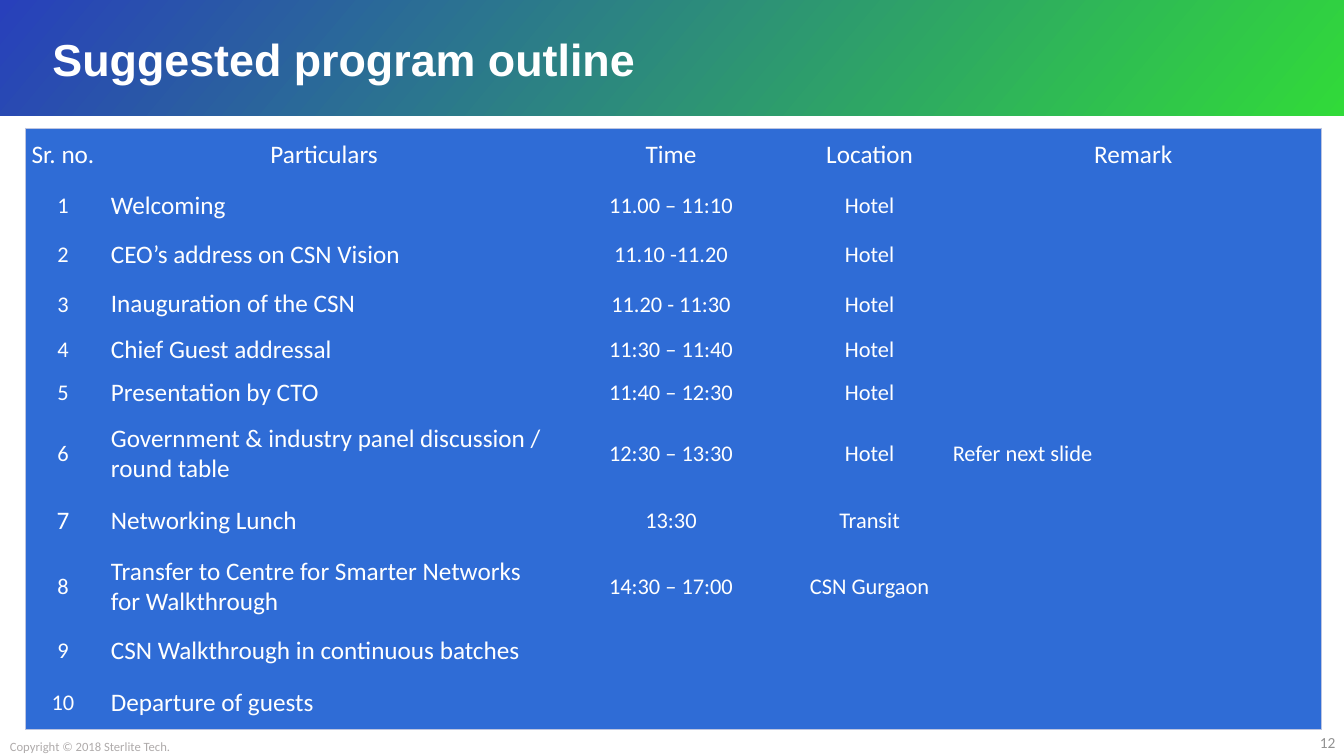
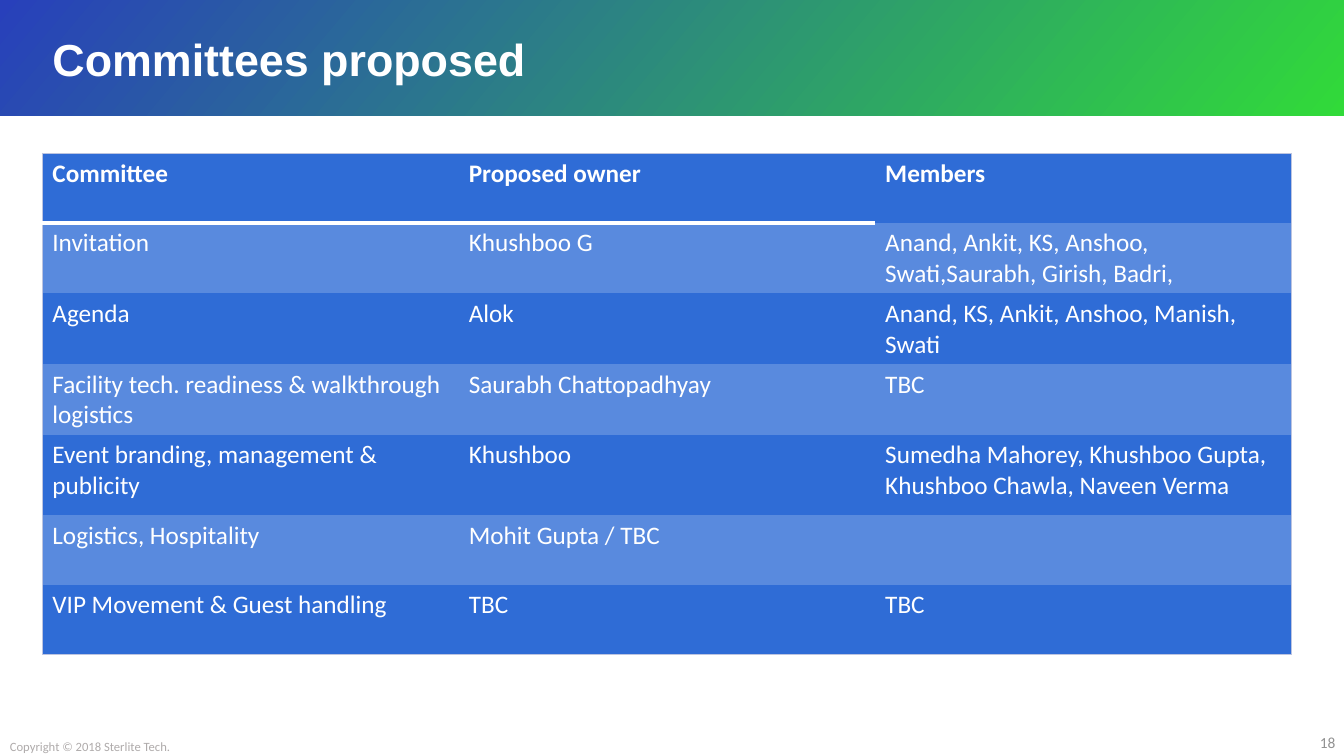
from lxml import etree
from pptx import Presentation
from pptx.dml.color import RGBColor
from pptx.enum.shapes import MSO_SHAPE
from pptx.enum.text import MSO_ANCHOR, MSO_AUTO_SIZE, PP_ALIGN
from pptx.oxml.ns import qn
from pptx.util import Inches, Pt

LEFT, CENTER = PP_ALIGN.LEFT, PP_ALIGN.CENTER
TOP, MIDDLE, BOTTOM = MSO_ANCHOR.TOP, MSO_ANCHOR.MIDDLE, MSO_ANCHOR.BOTTOM
RECTANGLE = MSO_SHAPE.RECTANGLE
NO_AUTOFIT = MSO_AUTO_SIZE.NONE
NO_GRID_STYLE = "{2D5ABB26-0587-4C30-8999-92F81FD0307C}"
TITLE_ONLY = 5

COLORS = {
    "band_start": "2840BB", "band_end": "31DA39", "white": "FFFFFF",
    "row": "2F6CD6", "row_alt": "598ADE", "frame": "BCC4E0",
    "number": "929292", "copyright": "AFABAB",
}

AGENDA = [
    ["Sr. no.", "Particulars", "Time", "Location", "Remark"],
    ["1", "Welcoming", "11.00 – 11:10", "Hotel", ""],
    ["2", "CEO’s address on CSN Vision", "11.10 -11.20", "Hotel", ""],
    ["3", "Inauguration of the CSN", "11.20 - 11:30", "Hotel", ""],
    ["4", "Chief Guest addressal", "11:30 – 11:40", "Hotel", ""],
    ["5", "Presentation by CTO", "11:40 – 12:30", "Hotel", ""],
    ["6", "Government & industry panel discussion / round table",
     "12:30 – 13:30", "Hotel", "Refer next slide"],
    ["7", "Networking Lunch", "13:30", "Transit", ""],
    ["8", "Transfer to Centre for Smarter Networks for Walkthrough",
     "14:30 – 17:00", "CSN Gurgaon", ""],
    ["9", "CSN Walkthrough in continuous batches", "", "", ""],
    ["10", "Departure of guests", "", "", ""],
]
COMMITTEES = [
    ["Committee", "Proposed owner", "Members"],
    ["Invitation", "Khushboo G", "Anand, Ankit, KS, Anshoo, Swati,Saurabh, Girish, Badri,"],
    ["Agenda", "Alok", "Anand, KS, Ankit, Anshoo, Manish, Swati"],
    ["Facility tech. readiness & walkthrough logistics", "Saurabh Chattopadhyay", "TBC"],
    ["Event branding, management & publicity", "Khushboo",
     "Sumedha Mahorey, Khushboo Gupta, Khushboo Chawla, Naveen Verma"],
    ["Logistics, Hospitality", "Mohit Gupta / TBC", ""],
    ["VIP Movement & Guest handling", "TBC", "TBC"],
]

prs = Presentation()
prs.slide_width, prs.slide_height = Inches(13.33), Inches(7.5)


def style(p, size, color, font="Calibri", bold=False, align=LEFT):
    p.alignment = align
    p.font.name, p.font.size, p.font.bold = font, Pt(size), bold
    p.font.color.rgb = RGBColor.from_string(COLORS[color])


def add_grid(s, left, top, widths, heights, rows):
    frame = s.shapes.add_table(
        len(rows), len(widths), Inches(left), Inches(top),
        Inches(sum(widths)), Inches(sum(heights)))
    table = frame.table
    table.first_row = table.horz_banding = False
    table._tbl.tblPr.find(qn("a:tableStyleId")).text = NO_GRID_STYLE
    for column, width in zip(table.columns, widths):
        column.width = Inches(width)
    for row, height in zip(table.rows, heights):
        row.height = Inches(height)
    last_row, last_col = len(rows) - 1, len(widths) - 1
    for r, texts in enumerate(rows):
        for c, text in enumerate(texts):
            cell = table.cell(r, c)
            cell.text = text
            tcPr = cell._tc.get_or_add_tcPr()
            edges = (("a:lnL", c == 0), ("a:lnR", c == last_col),
                     ("a:lnT", r == 0), ("a:lnB", r == last_row))
            for tag, is_outer in edges:
                if is_outer:
                    ln = etree.SubElement(tcPr, qn(tag), w=str(Pt(0.75)))
                    fill = etree.SubElement(ln, qn("a:solidFill"))
                    etree.SubElement(fill, qn("a:srgbClr"), val=COLORS["frame"])
            cell.fill.solid()
            cell.fill.fore_color.rgb = RGBColor.from_string(COLORS["row"])
    return table


slides = []
for title, number in (("Suggested program outline", "12"), ("Committees proposed", "18")):
    s = prs.slides.add_slide(prs.slide_layouts[TITLE_ONLY])
    slides.append(s)

    band = s.shapes.add_shape(RECTANGLE, 0, 0, prs.slide_width, Inches(1.15))
    band.shadow.inherit = False
    band.line.fill.background()
    band.fill.gradient()
    band.fill.gradient_angle = 320
    for stop, name in zip(band.fill.gradient_stops, ("band_start", "band_end")):
        stop.color.rgb = RGBColor.from_string(COLORS[name])
    s.shapes._spTree.insert(2, band._element)

    sp = s.shapes.title
    sp.left, sp.top, sp.width, sp.height = (Inches(v) for v in (0.42, 0.14, 10.02, 0.88))
    tf = sp.text_frame
    tf.text = title
    tf.auto_size = NO_AUTOFIT
    tf.vertical_anchor = MIDDLE
    style(tf.paragraphs[0], 32, "white", "Arial", True)

    for text, left, width, height, margin, anchor, size, color in (
            (number, 13.04, 0.27, 0.25, 0.05, TOP, 11, "number"),
            ("Copyright © 2018 Sterlite Tech.", 0, 2.07, 0.31, 0.1, BOTTOM, 9, "copyright")):
        sp = s.shapes.add_textbox(Inches(left), Inches(7.22), Inches(width), Inches(height))
        tf = sp.text_frame
        tf.text = text
        tf.word_wrap = text != number
        tf.vertical_anchor = anchor
        tf.margin_left = tf.margin_right = Inches(margin)
        style(tf.paragraphs[0], size, color)

agenda = add_grid(
    slides[0], 0.25, 1.27, [0.75, 4.43, 2.45, 1.49, 3.74],
    [0.52, 0.49, 0.49, 0.49, 0.42, 0.43, 0.78, 0.54, 0.78, 0.49, 0.54], AGENDA)
for r in range(len(AGENDA)):
    for c, indent in enumerate((0.01, 0.1, 0.01, 0.01, 0.08)):
        cell = agenda.cell(r, c)
        is_header = r == 0
        cell.vertical_anchor = MIDDLE
        cell.margin_left = Inches(0.01 if is_header else indent)
        cell.margin_right = cell.margin_top = Inches(0.01)
        cell.margin_bottom = 0
        size = 18 if is_header or c == 1 or cell.text == "7" else 16
        align = CENTER if is_header or c in (0, 2, 3) else LEFT
        style(cell.text_frame.paragraphs[0], size, "white", align=align)

committees = add_grid(
    slides[1], 0.42, 1.52, [4.13] * 3,
    [0.69, 0.69, 0.69, 0.69, 0.8, 0.69, 0.69], COMMITTEES)
for r in range(len(COMMITTEES)):
    for c in range(3):
        cell = committees.cell(r, c)
        style(cell.text_frame.paragraphs[0], 18, "white", bold=r == 0)
        if r % 2:
            cell.fill.fore_color.rgb = RGBColor.from_string(COLORS["row_alt"])
        if r == 0 and c < 2:
            ln = etree.Element(qn("a:lnB"), w=str(Pt(3)))
            fill = etree.SubElement(ln, qn("a:solidFill"))
            etree.SubElement(fill, qn("a:srgbClr"), val=COLORS["white"])
            cell._tc.tcPr.find(qn("a:solidFill")).addprevious(ln)

prs.save("out.pptx")
